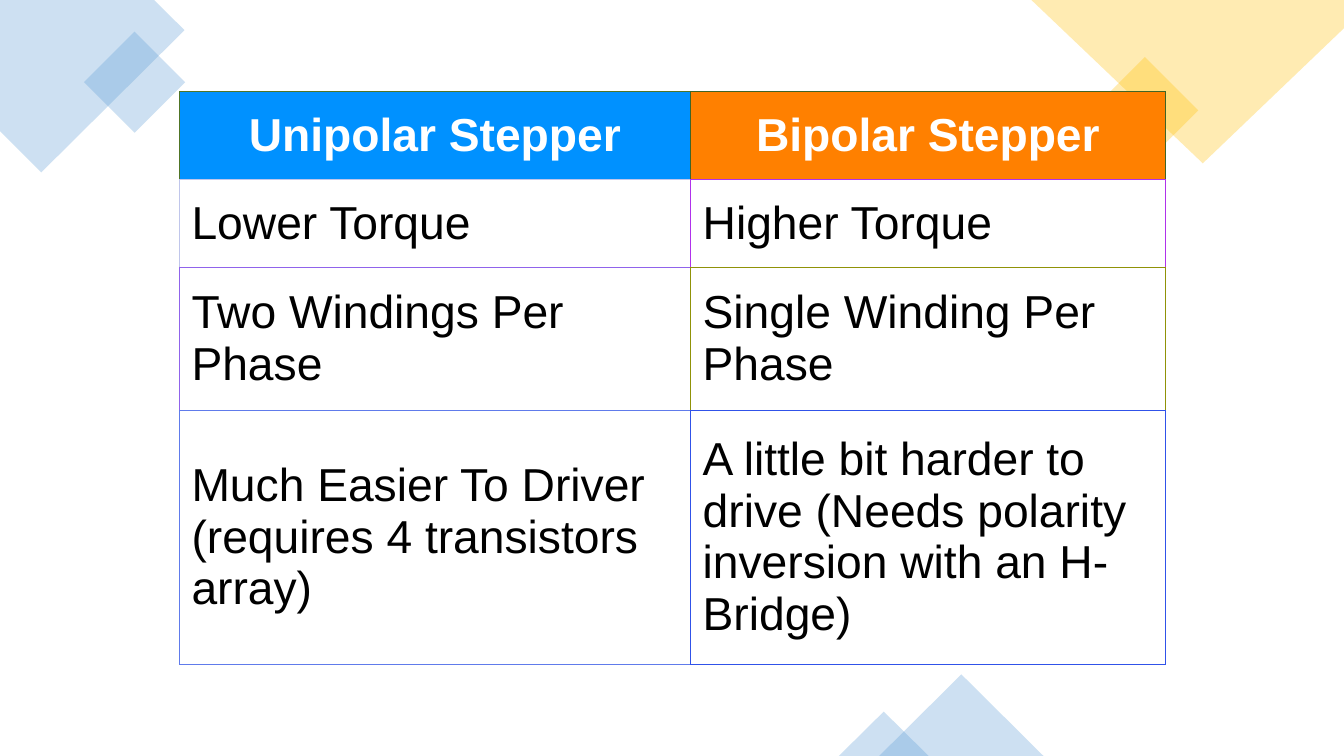
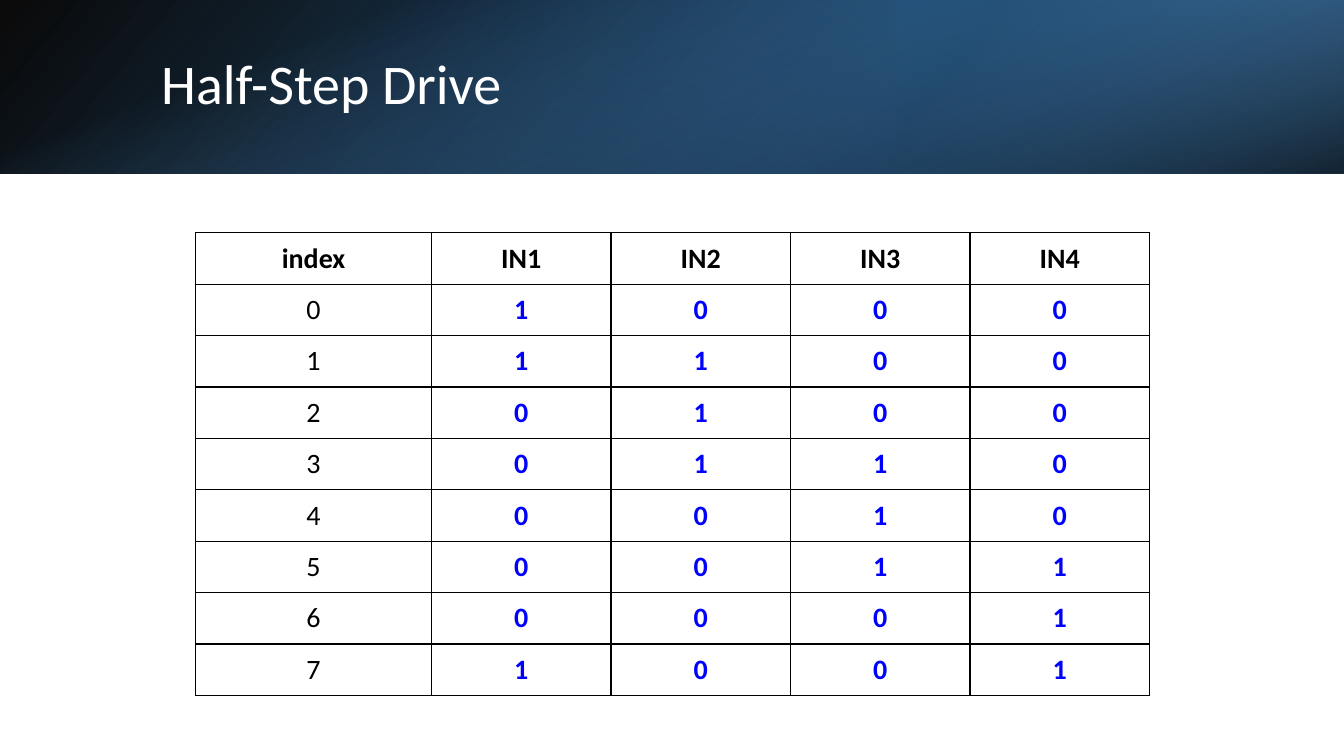
from dataclasses import dataclass
from typing import NamedTuple

from lxml.etree import SubElement
from pptx import Presentation
from pptx.dml.color import RGBColor
from pptx.enum.shapes import MSO_SHAPE
from pptx.enum.text import MSO_ANCHOR, PP_ALIGN
from pptx.oxml.ns import qn
from pptx.util import Inches, Pt

# Shared colours
WHITE, BLACK = "FFFFFF", "000000"
SKY, NAVY, GOLD = "5B9BD5", "1F4E79", "FFC000"
WIDTH, HEIGHT, BAND_HEIGHT = 13.33, 7.5, 1.72


class Box(NamedTuple):
    left: float
    top: float
    width: float
    height: float

    def lengths(self) -> list:
        return [Inches(value) for value in self]


@dataclass
class Ornament:
    preset: MSO_SHAPE
    box: Box
    color: str
    rotation: float = 0


@dataclass
class Outline:
    points: list
    color: str


class Stop(NamedTuple):
    position: int
    color: str
    opacity: int = 100


@dataclass
class GradientLayer:
    box: Box
    stops: list
    angle: int
    rotation: int = 0
    flipped: bool = True


@dataclass
class Edge:
    color: str
    width: float


ORNAMENTS = [
    Ornament(MSO_SHAPE.RECTANGLE, Box(0.98, 0.46, 0.71, 0.71), SKY, 315),
    Ornament(MSO_SHAPE.RECTANGLE, Box(10.98, 0.72, 0.75, 0.75), GOLD, 315),
    Ornament(MSO_SHAPE.ISOSCELES_TRIANGLE, Box(8.72, 6.69, 1.63, 0.81), SKY),
    Ornament(MSO_SHAPE.ISOSCELES_TRIANGLE, Box(8.32, 7.06, 0.89, 0.44), SKY),
]
CORNERS = [
    Outline([(1.53, 0), (0, 0), (0, 1.3), (0.41, 1.71), (1.83, 0.3)], SKY),
    Outline([(WIDTH, 0), (10.23, 0), (11.93, 1.62), (WIDTH, 0.28)], GOLD),
]
BAND_LAYERS = [
    GradientLayer(Box(0, 0, WIDTH, BAND_HEIGHT),
                  [Stop(0, BLACK, 96), Stop(100, "2E75B6")], 140),
    GradientLayer(Box(8.89, 0, 4.44, BAND_HEIGHT),
                  [Stop(19, NAVY, 68), Stop(100, SKY, 79)], 320, 180),
    GradientLayer(Box((WIDTH - BAND_HEIGHT) / 2, (BAND_HEIGHT - WIDTH) / 2, BAND_HEIGHT, WIDTH),
                  [Stop(23, SKY, 0), Stop(99, BLACK, 74)], 340, 90, False),
]

COMPARISON = [
    ("Unipolar Stepper", "Bipolar Stepper"),
    ("Lower Torque", "Higher Torque"),
    ("Two Windings Per Phase", "Single Winding Per Phase"),
    ("Much Easier To Driver (requires 4 transistors array)",
     "A little bit harder to drive (Needs polarity inversion with an H-Bridge)"),
]
HEADER_FILLS = ("0091FF", "FF8000")
COMPARISON_EDGES = [
    ("507526", "406426"),
    ("C0C6EB", "B031EB"),
    ("9063EB", "909208"),
    ("607BEB", "3052E9"),
]
HALF_STEPS = ["1000", "1100", "0100", "0110", "0010", "0011", "0001", "1001"]


def rgb(color: str) -> RGBColor:
    return RGBColor.from_string(color)


def add_color(parent, color: str, opacity: int = 100) -> None:
    element = SubElement(parent, qn("a:srgbClr"), val=color)
    if opacity < 100:
        SubElement(element, qn("a:alpha"), val=str(opacity * 1000))


def write_text(frame, text: str, *, size: float, font: str, color: str = BLACK,
               bold: bool = False, align=PP_ALIGN.LEFT, spacing: float = 1) -> None:
    paragraph = frame.paragraphs[0]
    paragraph.alignment = align
    paragraph.line_spacing = spacing
    run = paragraph.add_run()
    run.text = text
    run.font.size = Pt(size)
    run.font.name = font
    run.font.bold = bold
    run.font.color.rgb = rgb(color)


# Shapes
def tint(shape, color: str, opacity: int = 30) -> None:
    shape.shadow.inherit = False
    shape.line.fill.background()
    shape.fill.solid()
    shape.fill.fore_color.rgb = rgb(color)
    color_element = shape.element.spPr.find(qn("a:solidFill"))[0]
    SubElement(color_element, qn("a:alpha"), val=str(opacity * 1000))


def add_ornament(slide, ornament: Ornament) -> None:
    shape = slide.shapes.add_shape(ornament.preset, *ornament.box.lengths())
    shape.rotation = ornament.rotation
    tint(shape, ornament.color)


def add_outline(slide, outline: Outline) -> None:
    first, *rest = [(Inches(x), Inches(y)) for x, y in outline.points]
    builder = slide.shapes.build_freeform(*first)
    builder.add_line_segments(rest, close=True)
    tint(builder.convert_to_shape(), outline.color)


def add_gradient_layer(slide, layer: GradientLayer) -> None:
    shape = slide.shapes.add_shape(MSO_SHAPE.RECTANGLE, *layer.box.lengths())
    shape.rotation = layer.rotation
    shape.shadow.inherit = False
    shape.line.fill.background()
    shape.fill.gradient()
    properties = shape.element.spPr
    if layer.flipped:
        properties.find(qn("a:xfrm")).set("flipH", "1")
    gradient = properties.find(qn("a:gradFill"))
    for child in list(gradient):
        gradient.remove(child)
    gradient.set("rotWithShape", "1")
    stop_list = SubElement(gradient, qn("a:gsLst"))
    for stop in layer.stops:
        element = SubElement(stop_list, qn("a:gs"), pos=str(stop.position * 1000))
        add_color(element, stop.color, stop.opacity)
    SubElement(gradient, qn("a:lin"), ang=str(layer.angle * 60000), scaled="0")


# Tables
def add_plain_table(slide, left: float, top: float, columns: list, rows: list):
    box = Box(left, top, sum(columns), sum(rows))
    table = slide.shapes.add_table(len(rows), len(columns), *box.lengths()).table
    table.first_row = table.horz_banding = False
    for column, width in zip(table.columns, columns):
        column.width = Inches(width)
    for row, height in zip(table.rows, rows):
        row.height = Inches(height)
    return table


def format_cell(cell, edges: dict, margin: float, fill: str | None = None) -> None:
    cell.vertical_anchor = MSO_ANCHOR.MIDDLE
    cell.margin_left = cell.margin_right = Inches(margin)
    cell.margin_top = cell.margin_bottom = Inches(margin)
    properties = cell._tc.get_or_add_tcPr()
    for side in "LRTB":
        edge = edges[side]
        line = SubElement(properties, qn(f"a:ln{side}"), w=str(Pt(edge.width)))
        add_color(SubElement(line, qn("a:solidFill")), edge.color)
    if fill:
        cell.fill.solid()
        cell.fill.fore_color.rgb = rgb(fill)
    else:
        cell.fill.background()


def add_comparison_table(slide) -> None:
    table = add_plain_table(slide, 1.78, 0.91, [5.07, 4.71], [0.87, 0.87, 1.42, 2.52])
    last_row, last_column = len(COMPARISON) - 1, len(HEADER_FILLS) - 1
    for i, texts in enumerate(COMPARISON):
        for j, text in enumerate(texts):
            # Right and bottom edges take the colour of the next cell
            own = COMPARISON_EDGES[i][j]
            right = COMPARISON_EDGES[i][min(j + 1, last_column)]
            below = COMPARISON_EDGES[min(i + 1, last_row)][j]
            colors = {"L": own, "T": own, "R": right, "B": below}
            edges = {side: Edge(color, 0.6) for side, color in colors.items()}
            header = i == 0
            cell = table.cell(i, j)
            format_cell(cell, edges, 0.12, HEADER_FILLS[j] if header else None)
            write_text(cell.text_frame, text, size=33, font="Arial", bold=header,
                       color=WHITE if header else BLACK,
                       align=PP_ALIGN.CENTER if header else PP_ALIGN.LEFT)


def add_step_table(slide) -> None:
    header = ["index"] + [f"IN{number}" for number in range(1, 5)]
    lines = [header] + [[str(index), *states] for index, states in enumerate(HALF_STEPS)]
    table = add_plain_table(slide, 1.94, 2.31, [2.34] + [1.78] * 4, [0.51] * len(lines))
    thick, thin = Edge(BLACK, 1), Edge(BLACK, 0.6)
    for i, texts in enumerate(lines):
        for j, text in enumerate(texts):
            edges = {"L": thick, "T": thick,
                     "R": thin if j == len(header) - 1 else thick,
                     "B": thin if i == len(lines) - 1 else thick}
            cell = table.cell(i, j)
            format_cell(cell, edges, 0.07, WHITE)
            write_text(cell.text_frame, text, size=20, font="Calibri",
                       bold=i == 0 or j > 0, align=PP_ALIGN.CENTER,
                       color="0000FF" if i > 0 and j > 0 else BLACK)


# Slides
def add_title_band(slide, title: str) -> None:
    for layer in BAND_LAYERS:
        add_gradient_layer(slide, layer)
    frame = slide.shapes.add_textbox(*Box(1.5, 0.38, 10.98, 0.96).lengths()).text_frame
    frame.word_wrap = True
    frame.vertical_anchor = MSO_ANCHOR.MIDDLE
    write_text(frame, title, size=40, font="Calibri", color=WHITE, spacing=0.9)


def build_comparison_slide(slide) -> None:
    for outline in CORNERS:
        add_outline(slide, outline)
    for ornament in ORNAMENTS:
        add_ornament(slide, ornament)
    add_comparison_table(slide)


def build_half_step_slide(slide) -> None:
    add_title_band(slide, "Half-Step Drive")
    add_step_table(slide)


def main() -> None:
    presentation = Presentation()
    presentation.slide_width = Inches(WIDTH)
    presentation.slide_height = Inches(HEIGHT)
    blank = presentation.slide_layouts[6]
    for build in (build_comparison_slide, build_half_step_slide):
        build(presentation.slides.add_slide(blank))
    presentation.save("out.pptx")


if __name__ == "__main__":
    main()
